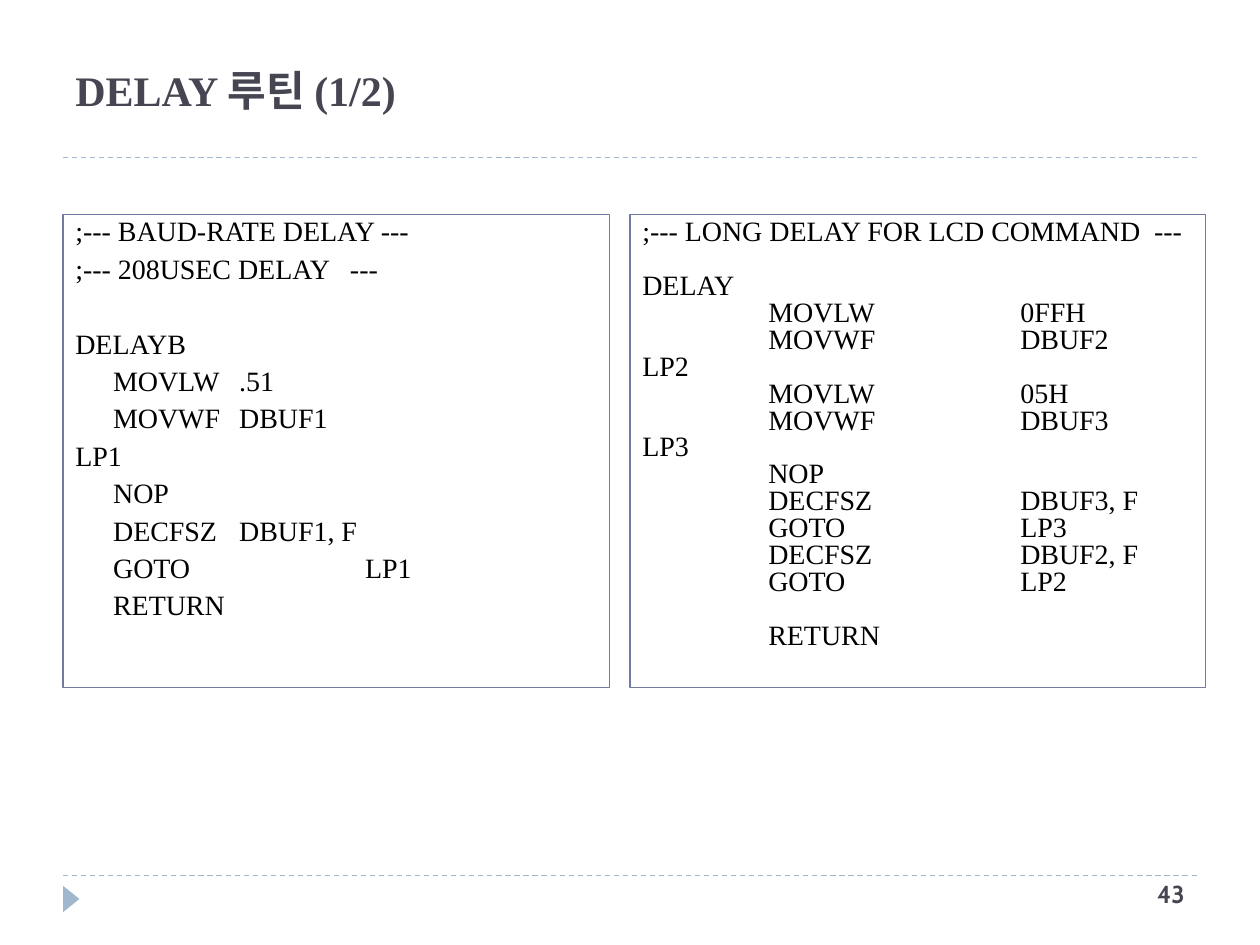
from lxml.etree import SubElement
from pptx import Presentation
from pptx.dml.color import RGBColor
from pptx.enum.dml import MSO_LINE
from pptx.enum.shapes import MSO_CONNECTOR, MSO_SHAPE
from pptx.enum.text import MSO_ANCHOR, PP_ALIGN
from pptx.oxml.ns import qn
from pptx.util import Inches, Pt

SERIF, SANS = "Times New Roman", "Cabin"
DARK, RULE, BORDER, BLACK = "464653", "9FB8CD", "727CA3", "000000"
MARGIN, PANEL_TOP, PANEL_H = 0.5, 1.7, 3.76
RULE_YS = (1.25, 6.95)

# Code lines: (extra space before in points, text)
SHORT_DELAY = [
    (0, ";--- BAUD-RATE DELAY ---"),
    (0, ";--- 208USEC DELAY   ---"),
    (21.4, "DELAYB"),
    (0, "\tMOVLW\t.51"),
    (0, "\tMOVWF\tDBUF1"),
    (0, "LP1"),
    (0, "\tNOP"),
    (0, "\tDECFSZ\tDBUF1, F"),
    (0, "\tGOTO\t\tLP1"),
    (0, "\tRETURN"),
]
LONG_DELAY = [
    (0, ";--- LONG DELAY FOR LCD COMMAND  ---"),
    (15.4, "DELAY"),
    (0, "\tMOVLW\t\t0FFH"),
    (0, "\tMOVWF\t\tDBUF2"),
    (0, "LP2"),
    (0, "\tMOVLW\t\t05H"),
    (0, "\tMOVWF\t\tDBUF3"),
    (0, "LP3"),
    (0, "\tNOP"),
    (0, "\tDECFSZ\t\tDBUF3, F"),
    (0, "\tGOTO\t\tLP3"),
    (0, "\tDECFSZ\t\tDBUF2, F"),
    (0, "\tGOTO\t\tLP2"),
    (15.4, "\tRETURN"),
]
# Panels: left, width, first tab stop, regular space before, lines
PANELS = [
    (MARGIN, 4.34, 0.3, 6, SHORT_DELAY),
    (5, 4.57, 1, 0, LONG_DELAY),
]
# Labels: box, text, size, font, alignment
LABELS = [
    ((MARGIN, 0.17, 9, 1.08), "DELAY 루틴 (1/2)", 24, SERIF, PP_ALIGN.LEFT),
    ((7.17, 6.83, 2.33, 0.52), "43", 14, SANS, PP_ALIGN.RIGHT),
]


def rgb(value):
    return RGBColor.from_string(value)


def add_run(p, text, size, font, color, bold=False):
    r = p.add_run()
    r.text = text
    r.font.size, r.font.name, r.font.bold = Pt(size), font, bold
    r.font.color.rgb = rgb(color)


def add_rule(s, y):
    line = s.shapes.add_connector(MSO_CONNECTOR.STRAIGHT, Inches(MARGIN), Inches(y),
                                  Inches(10 - MARGIN), Inches(y))
    line.line.color.rgb = rgb(RULE)
    line.line.width = Pt(0.75)
    line.line.dash_style = MSO_LINE.DASH
    SubElement(line._element.spPr, qn("a:effectLst"))


def add_label(s, box, text, size, font, align):
    tf = s.shapes.add_textbox(*map(Inches, box)).text_frame
    tf.word_wrap = True
    tf.vertical_anchor = MSO_ANCHOR.MIDDLE
    p = tf.paragraphs[0]
    p.alignment = align
    add_run(p, text, size, font, DARK, bold=True)


def add_tabs(p, first):
    """Three stops, one inch apart."""
    tabs = SubElement(p._p.get_or_add_pPr(), qn("a:tabLst"))
    for step in range(3):
        SubElement(tabs, qn("a:tab"), pos=str(Inches(first + step)), algn="l")


def add_panel(s, left, width, first_tab, gap, lines):
    sp = s.shapes.add_shape(MSO_SHAPE.RECTANGLE, Inches(left), Inches(PANEL_TOP),
                            Inches(width), Inches(PANEL_H))
    sp.shadow.inherit = False
    sp.fill.background()
    sp.line.color.rgb = rgb(BORDER)
    sp.line.width = Pt(0.75)
    tf = sp.text_frame
    tf.word_wrap = True
    tf.vertical_anchor = MSO_ANCHOR.TOP
    for i, (extra, text) in enumerate(lines):
        p = tf.add_paragraph() if i else tf.paragraphs[0]
        p.alignment = PP_ALIGN.LEFT
        p.line_spacing = 0.8
        p.space_before = Pt(gap + extra if i else 0)
        add_tabs(p, first_tab)
        add_run(p, text, 16, SERIF, BLACK)


prs = Presentation()
prs.slide_width, prs.slide_height = Inches(10), Inches(7.5)
s = prs.slides.add_slide(prs.slide_layouts[6])

# Dashed rules and footer marker
for y in RULE_YS:
    add_rule(s, y)
marker = s.shapes.add_shape(MSO_SHAPE.ISOSCELES_TRIANGLE, Inches(0.46), Inches(7.07),
                            Inches(0.21), Inches(0.13))
marker.rotation = 90
marker.shadow.inherit = False
marker.fill.solid()
marker.fill.fore_color.rgb = rgb(RULE)
marker.line.fill.background()

# Title, page number and code panels
for label in LABELS:
    add_label(s, *label)
for panel in PANELS:
    add_panel(s, *panel)

prs.save("out.pptx")
